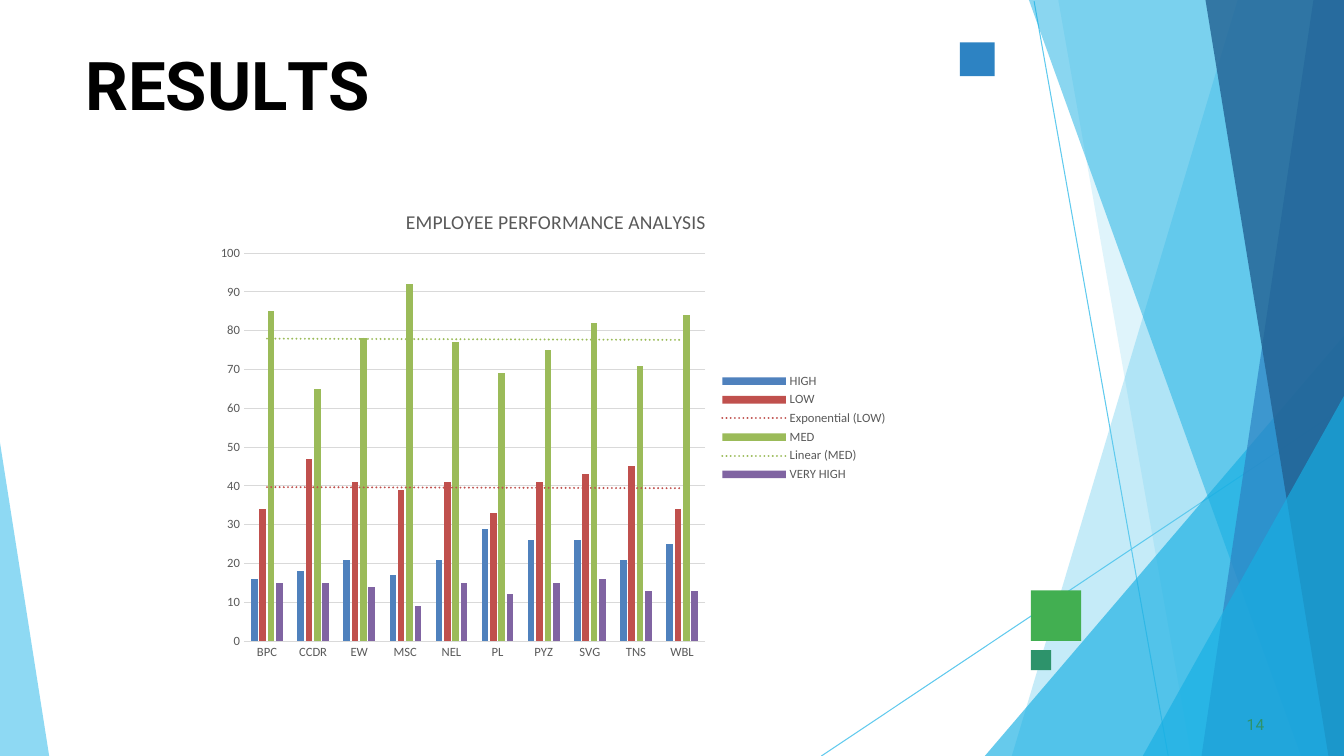
from lxml import etree
from pptx import Presentation
from pptx.chart.data import CategoryChartData
from pptx.dml.color import RGBColor
from pptx.enum.chart import XL_CHART_TYPE, XL_LEGEND_POSITION, XL_TICK_MARK
from pptx.enum.shapes import MSO_CONNECTOR, MSO_SHAPE
from pptx.oxml import parse_xml
from pptx.oxml.ns import nsdecls, qn
from pptx.util import Cm, Pt

CLUSTERED = XL_CHART_TYPE.COLUMN_CLUSTERED
LEGEND_RIGHT = XL_LEGEND_POSITION.RIGHT
NO_TICK = XL_TICK_MARK.NONE
STRAIGHT = MSO_CONNECTOR.STRAIGHT
RECTANGLE = MSO_SHAPE.RECTANGLE

W, H = 33.87, 19.05
GREY, RULE = "595959", "D9D9D9"


def paint(color_owner, color):
    """Give a font or a fill a solid hex colour."""
    fill = getattr(color_owner, "fill", color_owner)
    fill.solid()
    fill.fore_color.rgb = RGBColor.from_string(color)


def place(part, index, **fractions):
    """Fix a chart part's position as fractions of the chart area."""
    for old in part.findall(qn("c:layout")):
        part.remove(old)
    target = '<c:layoutTarget val="inner"/>' if "w" in fractions else ""
    modes = "".join(f'<c:{k}Mode val="edge"/>' for k in fractions if k in "xy")
    sizes = "".join(f'<c:{k} val="{v}"/>' for k, v in fractions.items())
    part.insert(index, parse_xml(
        f'<c:layout {nsdecls("c")}><c:manualLayout>{target}{modes}{sizes}'
        '</c:manualLayout></c:layout>'))


prs = Presentation()
prs.slide_width, prs.slide_height = Cm(W), Cm(H)
slide = prs.slides.add_slide(prs.slide_layouts[6])
shapes = slide.shapes

# Thin crossing lines
for x1, y1, x2, y2 in [(26.06, 0.03, 29.44, H), (W, 10.26, 20.7, H)]:
    ray = shapes.add_connector(STRAIGHT, Cm(x1), Cm(y1), Cm(x2), Cm(y2))
    paint(ray.line, "5FCAEE")
    ray.line.width = Pt(0.75)
    etree.SubElement(ray._element.spPr, qn("a:effectLst"))

# Translucent facets: outline, colour, opacity in percent
facets = [
    ([(W, 0), (31.19, 0), (25.5, H), (W, H)], "5FCAEE", 36),
    ([(W, 0), (26.67, 0), (30.02, H), (W, H)], "5FCAEE", 20),
    ([(W, 8.46), (24.82, H), (W, H)], "17AFE3", 66),
    ([(W, 0), (25.93, 0), (32.79, H), (W, H)], "17AFE3", 50),
    ([(W, 0), (33.1, 0), (30.28, H), (W, H)], "2D83C3", 70),
    ([(W, 0), (30.38, 0), (33.48, H), (W, H)], "226192", 80),
    ([(W, 9.98), (28.8, H), (W, H)], "17AFE3", 66),
    ([(0, 11.15), (0, H), (1.24, H)], "5FCAEE", 70),
]
for outline, color, opacity in facets:
    points = [(Cm(x), Cm(y)) for x, y in outline]
    builder = shapes.build_freeform(*points[0])
    builder.add_line_segments(points[1:], close=True)
    facet = builder.convert_to_shape()
    facet.shadow.inherit = False
    facet.line.fill.background()
    paint(facet, color)
    rgb = facet._element.spPr.find(qn("a:solidFill")).find(qn("a:srgbClr"))
    etree.SubElement(rgb, qn("a:alpha"), val=str(opacity * 1000))

# Accent squares
for x, y, w, h, color in [(25.98, 14.88, 1.27, 1.27, "42AF51"),
                          (24.19, 1.07, 0.88, 0.85, "2D83C3"),
                          (25.98, 16.38, 0.51, 0.51, "2D936B")]:
    accent = shapes.add_shape(RECTANGLE, Cm(x), Cm(y), Cm(w), Cm(h))
    accent.shadow.inherit = False
    accent.line.fill.background()
    paint(accent, color)

# Heading and page number: box, runs with letter spacing, font, indent
captions = [
    ((2.12, 1.06, 29.66, 2.12), [("RESU", 0), ("L", -400), ("TS", 0)],
     48, True, "000000", 0.03, 1.1),
    ((31.32, 17.98, 0.64, 0.53), [("14", 10)], 11, False, "2D936B", 0.1, 0.6),
]
for box, runs, size, bold, color, indent, before in captions:
    frame = shapes.add_textbox(*map(Cm, box)).text_frame
    frame.word_wrap = True
    frame.margin_left = Cm(indent)
    frame.margin_right = frame.margin_bottom = 0
    frame.margin_top = Cm(0.03)
    line = frame.paragraphs[0]
    line.space_before = Pt(before)
    line.font.name, line.font.size, line.font.bold = "Roboto", Pt(size), bold
    paint(line.font, color)
    for text, spacing in runs:
        run = line.add_run()
        run.text = text
        if spacing:
            run.font._element.set("spc", str(spacing))

# Performance chart: values, colour, trend type
ratings = {
    "HIGH": ([16, 18, 21, 17, 21, 29, 26, 26, 21, 25], "4F81BD", None),
    "LOW": ([34, 47, 41, 39, 41, 33, 41, 43, 45, 34], "C0504D", "exp"),
    "MED": ([85, 65, 78, 92, 77, 69, 75, 82, 71, 84], "9BBB59", "linear"),
    "VERY HIGH": ([15, 15, 14, 9, 15, 12, 15, 16, 13, 13], "8064A2", None),
}
data = CategoryChartData()
data.categories = ["BPC", "CCDR", "EW", "MSC", "NEL",
                   "PL", "PYZ", "SVG", "TNS", "WBL"]
for rating, (values, _, _) in ratings.items():
    data.add_series(rating, values)
chart = shapes.add_chart(CLUSTERED, Cm(5.28), Cm(4.67),
                         Cm(17.35), Cm(12.22), data).chart
chart.font.name, chart.font.size = "Calibri", Pt(10)
paint(chart.font, "000000")

# Columns and trend lines
plot = chart.plots[0]
plot.gap_width, plot.overlap = 219, -27
plot.vary_by_categories = False
for series, (_, color, trend) in zip(plot.series, ratings.values()):
    paint(series.format, color)
    if trend:
        series._element.find(qn("c:cat")).addprevious(parse_xml(
            f'<c:trendline {nsdecls("c", "a")}><c:spPr><a:ln w="19050" cap="rnd">'
            f'<a:solidFill><a:srgbClr val="{color}"/></a:solidFill>'
            f'<a:prstDash val="sysDot"/></a:ln></c:spPr>'
            f'<c:trendlineType val="{trend}"/><c:dispRSqr val="0"/>'
            f'<c:dispEq val="0"/></c:trendline>'))

# Axes and legend
categories, scores = chart.category_axis, chart.value_axis
scores.minimum_scale, scores.maximum_scale, scores.major_unit = 0, 100, 10
for axis in (categories, scores):
    axis.major_tick_mark = axis.minor_tick_mark = NO_TICK
scores.format.line.fill.background()
for rule in (categories.format.line, scores.major_gridlines.format.line):
    paint(rule, RULE)
    rule.width = Pt(0.75)
chart.has_legend = True
chart.legend.position = LEGEND_RIGHT
chart.legend.include_in_layout = False
for labels in (categories.tick_labels, scores.tick_labels, chart.legend):
    labels.font.name, labels.font.size = "Calibri", Pt(9)
    paint(labels.font, GREY)

# Chart title and plot position
heading = chart.chart_title.text_frame.paragraphs[0]
heading.text = "EMPLOYEE PERFORMANCE ANALYSIS"
heading.font.name, heading.font.size, heading.font.bold = "Calibri", Pt(14), False
paint(heading.font, GREY)
place(chart.chart_title._element, 1, x=0.28, y=0.04)
place(chart._chartSpace.chart.plotArea, 0, x=0.05, y=0.14, w=0.67, h=0.8)

prs.save("out.pptx")
